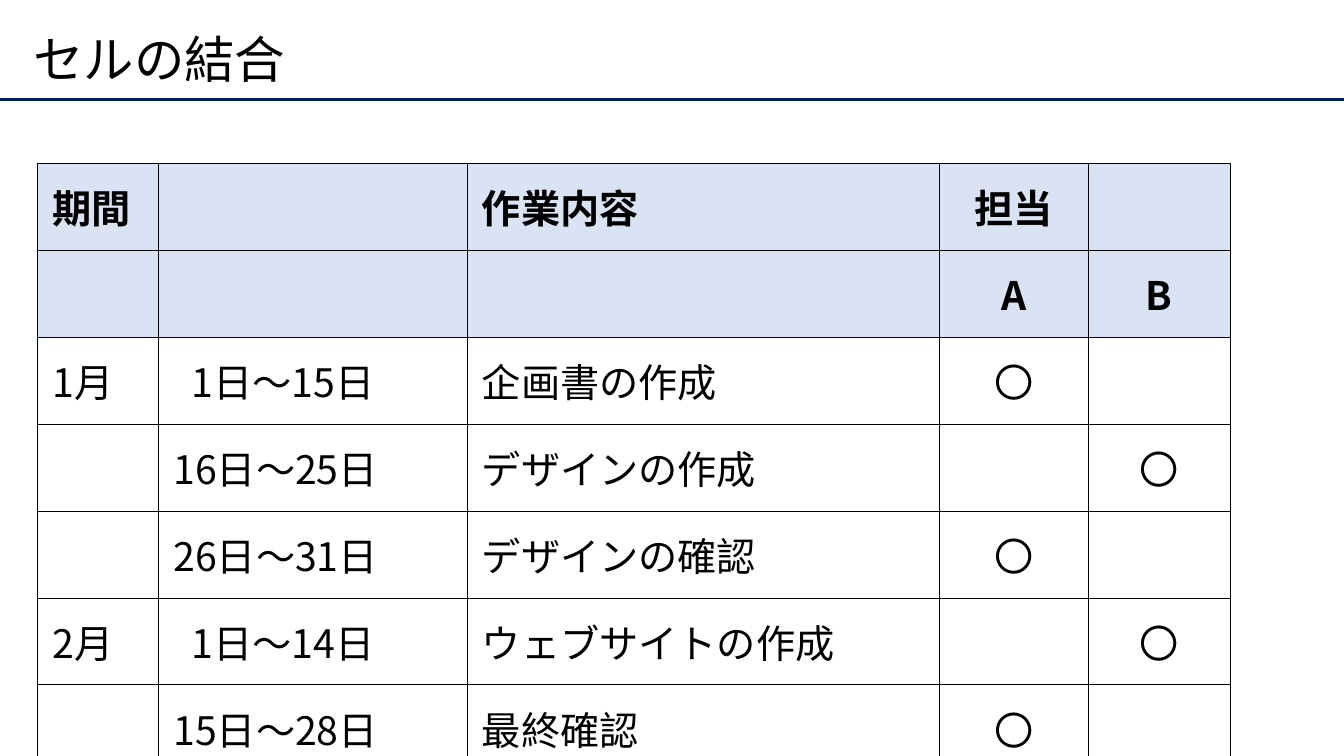
from lxml.etree import SubElement
from pptx import Presentation
from pptx.dml.color import RGBColor
from pptx.enum.shapes import MSO_CONNECTOR
from pptx.enum.text import MSO_ANCHOR, MSO_AUTO_SIZE, PP_ALIGN
from pptx.oxml.ns import qn
from pptx.util import Inches, Pt

BLACK = RGBColor(0x00, 0x00, 0x00)
NAVY = RGBColor(0x00, 0x20, 0x60)
PALE_BLUE = RGBColor(0xDA, 0xE3, 0xF3)

HEADER_ROWS = 2
FIRST_ASSIGNEE = 3
COLUMN_SHARES = [9, 22.96, 35.18, 11.03, 10.58]
ROW_SHARE = 5.47
SCHEDULE = [
    ["期間", "", "作業内容", "担当", ""],
    ["", "", "", "A", "B"],
    ["1月", "1日～15日", "企画書の作成", "〇", ""],
    ["", "16日～25日", "デザインの作成", "", "〇"],
    ["", "26日～31日", "デザインの確認", "〇", ""],
    ["2月", "1日～14日", "ウェブサイトの作成", "", "〇"],
    ["", "15日～28日", "最終確認", "〇", ""],
]


class SlideBuilder:
    font_name = "Noto Sans CJK JP"
    padding = Inches(0.15)
    digit_indent = Inches(0.18)

    def __init__(self, presentation):
        self.width = presentation.slide_width
        self.height = presentation.slide_height
        self.slide = presentation.slides.add_slide(presentation.slide_layouts[5])

    def across(self, share):
        return round(self.width * share / 100)

    def down(self, share):
        return round(self.height * share / 100)

    def add_text(self, paragraph, text, size, bold=False, align=PP_ALIGN.LEFT):
        paragraph.alignment = align
        run = paragraph.add_run()
        run.text = text
        font = run.font
        font.size, font.bold, font.name = Pt(size), bold, self.font_name
        font.color.rgb = BLACK
        east_asian = SubElement(run._r.get_or_add_rPr(), qn("a:ea"))
        east_asian.set("typeface", self.font_name)

    def title(self, text, left, top, width, height):
        heading = self.slide.shapes.title
        heading.left, heading.top = self.across(left), self.down(top)
        heading.width, heading.height = self.across(width), self.down(height)
        frame = heading.text_frame
        frame.auto_size = MSO_AUTO_SIZE.NONE
        frame.vertical_anchor = MSO_ANCHOR.MIDDLE
        frame.paragraphs[0].line_spacing = 0.9
        self.add_text(frame.paragraphs[0], text, 36)

    def rule(self, top):
        divider = self.slide.shapes.add_connector(
            MSO_CONNECTOR.STRAIGHT, 0, self.down(top), self.width, self.down(top))
        divider.line.color.rgb = NAVY
        divider.line.width = Pt(2.25)
        SubElement(divider._element.spPr, qn("a:effectLst"))

    def border(self, cell):
        properties = cell._tc.get_or_add_tcPr()
        for side in ("a:lnL", "a:lnR", "a:lnT", "a:lnB"):
            edge = SubElement(properties, qn(side), w=str(Pt(0.5)))
            fill = SubElement(edge, qn("a:solidFill"))
            SubElement(fill, qn("a:srgbClr"), val=str(BLACK))

    def cell(self, cell, text, is_header, align):
        self.border(cell)
        if is_header:
            cell.fill.solid()
            cell.fill.fore_color.rgb = PALE_BLUE
        else:
            cell.fill.background()
        cell.margin_left = cell.margin_right = self.padding
        cell.margin_top = cell.margin_bottom = self.padding
        if text.startswith("1日"):
            cell.margin_left = self.padding + self.digit_indent
        if text:
            self.add_text(cell.text_frame.paragraphs[0], text, 28, is_header, align)

    def table(self, rows, left, top):
        schedule = self.slide.shapes.add_table(
            len(rows), len(COLUMN_SHARES), self.across(left), self.down(top),
            self.across(sum(COLUMN_SHARES)), self.down(ROW_SHARE * len(rows))).table
        schedule.first_row = schedule.horz_banding = False
        for column, share in zip(schedule.columns, COLUMN_SHARES):
            column.width = self.across(share)
        for row_index, texts in enumerate(rows):
            for column_index, text in enumerate(texts):
                centred = column_index >= FIRST_ASSIGNEE
                self.cell(schedule.cell(row_index, column_index), text,
                          row_index < HEADER_ROWS,
                          PP_ALIGN.CENTER if centred else PP_ALIGN.LEFT)


def main():
    presentation = Presentation()
    presentation.slide_width = Inches(13.33)
    presentation.slide_height = Inches(7.5)
    builder = SlideBuilder(presentation)
    builder.rule(13.2)
    builder.title("セルの結合", 1.73, 2.67, 94.52, 11.2)
    builder.table(SCHEDULE, 2.78, 21.6)
    presentation.save("out.pptx")


if __name__ == "__main__":
    main()
